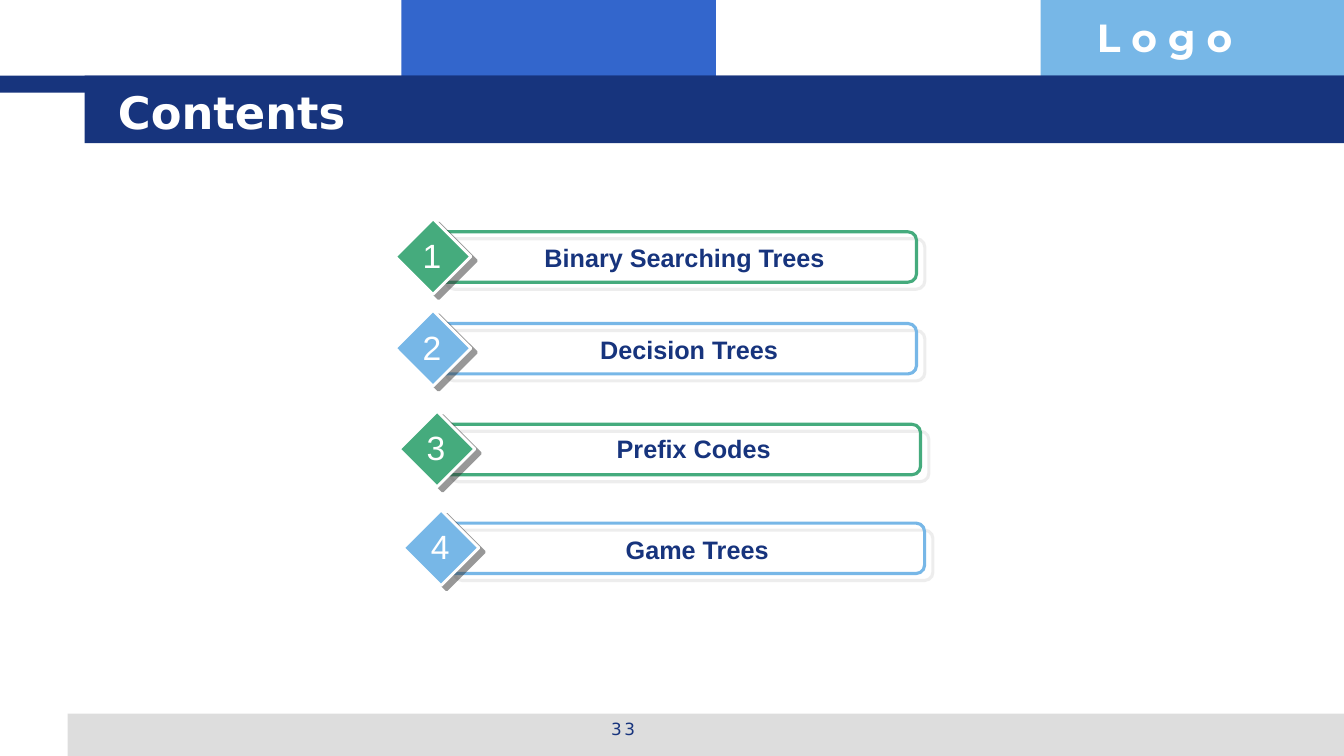
import dataclasses

import pptx
import pptx.dml.color
import pptx.enum.shapes
import pptx.enum.text
import pptx.oxml
import pptx.oxml.ns
import pptx.util

Inches = pptx.util.Inches
Pt = pptx.util.Pt
Shape = pptx.enum.shapes.MSO_SHAPE
Align = pptx.enum.text.PP_ALIGN
Anchor = pptx.enum.text.MSO_ANCHOR
AutoSize = pptx.enum.text.MSO_AUTO_SIZE


@dataclasses.dataclass(frozen=True)
class Theme:
    navy: str = "17347D"
    blue: str = "3366CC"
    sky: str = "77B7E7"
    green: str = "45AB7D"
    grey: str = "DDDDDD"
    dark: str = "333333"
    white: str = "FFFFFF"
    body_font: str = "Arial"
    head_font: str = "DejaVu Sans"
    logo_font: str = "Montserrat"
    title_size: int = 32
    logo_size: int = 28
    number_size: int = 24
    label_size: int = 18
    footer_size: int = 12


class SlideBuilder:
    def __init__(self, page, theme):
        self.page = page
        self.theme = theme

    @staticmethod
    def color(code):
        return pptx.dml.color.RGBColor.from_string(code)

    def style_text(self, box, text, size, color, font, bold=False, align=Align.LEFT):
        frame = box.text_frame
        frame.text = text
        para = frame.paragraphs[0]
        para.alignment = align
        span = para.runs[0]
        span.font.name = font
        span.font.size = Pt(size)
        span.font.bold = bold
        span.font.color.rgb = self.color(color)

    def text(self, area, text, size, color, font, bold=False, align=Align.CENTER, wrap=True):
        box = self.page.shapes.add_textbox(*map(Inches, area))
        box.text_frame.word_wrap = wrap
        self.style_text(box, text, size, color, font, bold, align)

    def shape(self, kind, area, fill=None, line=None, width=1.0):
        shape = self.page.shapes.add_shape(kind, *map(Inches, area))
        shape.shadow.inherit = False
        if fill:
            shape.fill.solid()
            shape.fill.fore_color.rgb = self.color(fill)
        else:
            shape.fill.background()
        if line:
            shape.line.color.rgb = self.color(line)
            shape.line.width = Pt(width)
        else:
            shape.line.fill.background()
        return shape

    def shadow(self, shape, color, distance, angle):
        effects = shape._element.spPr.find(pptx.oxml.ns.qn("a:effectLst"))
        effects.append(pptx.oxml.parse_xml(
            f'<a:outerShdw {pptx.oxml.ns.nsdecls("a")} blurRad="0" dist="{int(Pt(distance))}" '
            f'dir="{angle * 60000}" algn="ctr" rotWithShape="0">'
            f'<a:srgbClr val="{color}"><a:alpha val="50000"/></a:srgbClr></a:outerShdw>'))

    def title(self, area, text):
        title = self.page.shapes.title
        title.left, title.top, title.width, title.height = map(Inches, area)
        title.text_frame.auto_size = AutoSize.NONE
        title.text_frame.vertical_anchor = Anchor.MIDDLE
        self.style_text(title, text, self.theme.title_size, self.theme.white,
                        self.theme.head_font, bold=True)
        # Bring the title in front of its band
        self.page.shapes._spTree.append(title._element)

    def entry(self, number, label, left, top, label_area, color):
        theme = self.theme
        bar = self.shape(Shape.ROUNDED_RECTANGLE, (left + 0.42, top + 0.13, 4.75, 0.5),
                         line=color, width=2.25)
        self.shadow(bar, theme.grey, 7.8, 40)
        badge = self.shape(Shape.DIAMOND, (left, top, 0.75, 0.75), color, theme.white, 2)
        self.shadow(badge, theme.dark, 5, 37)
        self.text(label_area, label, theme.label_size, theme.navy, theme.body_font, bold=True)
        self.text((left + 0.17, top + 0.11, 0.39, 0.5), str(number), theme.number_size,
                  theme.white, theme.body_font, wrap=False)


def main():
    theme = Theme()
    deck = pptx.Presentation()
    deck.slide_width, deck.slide_height = Inches(13.33), Inches(7.5)
    slide = SlideBuilder(deck.slides.add_slide(deck.slide_layouts[5]), theme)

    # Header blocks, footer strip and title band
    for area, fill in [
        ((3.98, 0, 3.12, 0.92), theme.blue),
        ((10.32, 0, 3.01, 0.92), theme.sky),
        ((0.67, 7.08, 12.66, 0.42), theme.grey),
        ((0, 0.75, 13.33, 0.17), theme.navy),
        ((0.84, 0.75, 12.49, 0.67), theme.navy),
    ]:
        slide.shape(Shape.RECTANGLE, area, fill)
    slide.text((10.78, 0.08, 2.55, 0.57), "L o g o", theme.logo_size, theme.white,
               theme.logo_font, bold=True, align=Align.LEFT)

    # Page numbers
    for left, width in [(4.56, 3.11), (5.08, 2.33)]:
        slide.text((left, 7.08, width, 0.35), "3", theme.footer_size, theme.navy, theme.head_font)

    slide.title((1.07, 0.8, 11.38, 0.62), "Contents")

    # Contents entries: label, badge position, label box
    entries = [
        ("Binary Searching Trees", 3.92, 2.17, (4.58, 2.36, 4.42, 0.4)),
        ("Decision Trees", 3.92, 3.08, (4.67, 3.27, 4.33, 0.4)),
        ("Prefix Codes", 3.96, 4.08, (4.67, 4.25, 4.42, 0.4)),
        ("Game Trees", 4.0, 5.06, (4.75, 5.25, 4.33, 0.4)),
    ]
    for number, (label, left, top, label_area) in enumerate(entries, start=1):
        color = theme.green if number % 2 else theme.sky
        slide.entry(number, label, left, top, label_area, color)

    deck.save("out.pptx")


if __name__ == "__main__":
    main()
